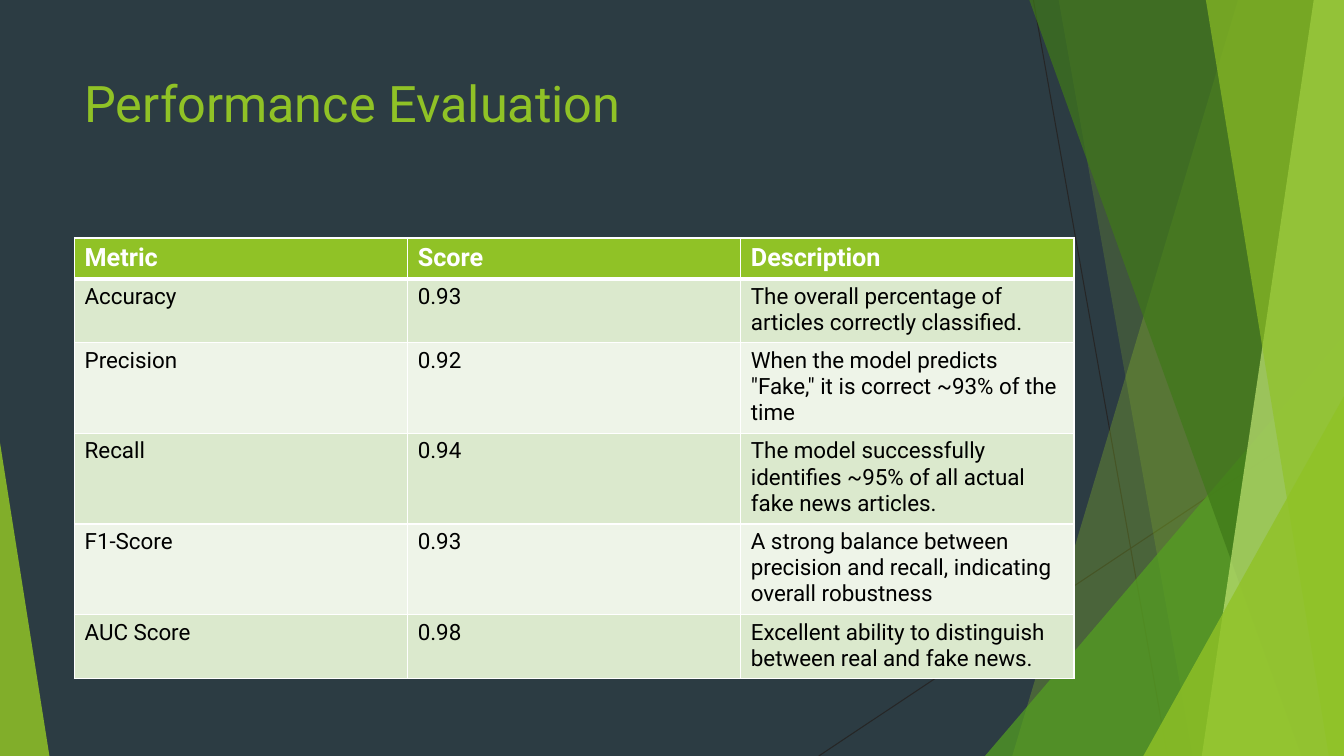
"""Build the Performance Evaluation slide with its metrics table."""
import pptx
import pptx.dml.color
import pptx.enum.shapes
import pptx.enum.text
import pptx.oxml
import pptx.oxml.ns
import pptx.util

RGB = pptx.dml.color.RGBColor
SLATE = RGB(0x2C, 0x3C, 0x43)
CHARCOAL = RGB(0x26, 0x26, 0x26)
LIME = RGB(0x90, 0xC2, 0x26)
GRASS = RGB(0x54, 0xA0, 0x21)
FOREST = RGB(0x3F, 0x78, 0x19)
PALE_LIME = RGB(0xC0, 0xE4, 0x74)
BAND_DARK = RGB(0xDB, 0xE9, 0xCD)
BAND_LIGHT = RGB(0xEE, 0xF4, 0xE8)
WHITE = RGB(0xFF, 0xFF, 0xFF)
BLACK = RGB(0, 0, 0)
FONT = "Roboto"

TITLE = "Performance Evaluation"
METRICS = [
    ("Metric", "Score", "Description"),
    ("Accuracy", "0.93", "The overall percentage of articles correctly classified."),
    ("Precision", "0.92", 'When the model predicts "Fake," it is correct ~93% of the time'),
    ("Recall", "0.94", "The model successfully identifies ~95% of all actual fake news articles."),
    ("F1-Score", "0.93", "A strong balance between precision and recall, indicating overall robustness"),
    ("AUC Score", "0.98", "Excellent ability to distinguish between real and fake news."),
]
TEXT_LINES = [1, 2, 3, 3, 3, 2]

# Shares below are percentages of the slide's width and height.
RAYS = [(76.89, 0, 86.87, 100), (100, 53.73, 60.92, 100)]
FACETS = [
    {"top": 92.12, "bottom": 75.32, "color": LIME, "alpha": 30},
    {"top": 78.77, "bottom": 88.75, "color": LIME, "alpha": 20},
    {"left": 73.29, "right": 100, "peak": 44.4, "lean": 1, "color": GRASS, "alpha": 72},
    {"top": 76.59, "bottom": 96.85, "color": FOREST, "alpha": 70},
    {"top": 97.75, "bottom": 89.42, "color": PALE_LIME, "alpha": 70},
    {"top": 89.72, "bottom": 98.87, "color": LIME, "alpha": 65},
    {"left": 85.07, "right": 100, "peak": 52.4, "lean": 1, "color": LIME, "alpha": 80},
    {"left": 0, "right": 3.68, "peak": 58.53, "lean": 0, "color": LIME, "alpha": 85},
]
TITLE_BOX = (5.55, 8.93, 70.52, 19.2)
TABLE_LEFT, TABLE_TOP, TABLE_WIDTH = 5.55, 31.47, 74.36
HEADER_HEIGHT, LINE_HEIGHT, CELL_PADDING = 5.4, 3.5, 1.2

deck = pptx.Presentation()
deck.slide_width, deck.slide_height = pptx.util.Inches(13.33), pptx.util.Inches(7.5)
slide = deck.slides.add_slide(deck.slide_layouts[6])
slide.background.fill.solid()
slide.background.fill.fore_color.rgb = SLATE


def across(share):
    return round(deck.slide_width * share / 100)


def down(share):
    return round(deck.slide_height * share / 100)


def write(frame, text, size, color, bold=False):
    frame.word_wrap = True
    run = frame.paragraphs[0].add_run()
    run.text = text
    run.font.name, run.font.size, run.font.bold = FONT, pptx.util.Pt(size), bold
    run.font.color.rgb = color


def draw_ray(x1, y1, x2, y2):
    ray = slide.shapes.add_connector(
        pptx.enum.shapes.MSO_CONNECTOR.STRAIGHT, across(x1), down(y1), across(x2), down(y2))
    ray.line.color.rgb = CHARCOAL
    ray.line.width = pptx.util.Pt(0.75)
    pptx.oxml.ns.qn("a:effectLst")
    ray._element.spPr.append(pptx.oxml.parse_xml(
        f"<a:effectLst {pptx.oxml.ns.nsdecls('a')}/>"))


def draw_facet(facet):
    if "peak" in facet:
        shape = slide.shapes.add_shape(
            pptx.enum.shapes.MSO_SHAPE.ISOSCELES_TRIANGLE,
            across(facet["left"]), down(facet["peak"]),
            across(facet["right"] - facet["left"]), down(100 - facet["peak"]))
        shape.adjustments[0] = facet["lean"]
    else:
        outline = slide.shapes.build_freeform(across(facet["top"]), 0)
        outline.add_line_segments(
            [(across(100), 0), (across(100), down(100)), (across(facet["bottom"]), down(100))])
        shape = outline.convert_to_shape()
    shape.shadow.inherit = False
    shape.line.fill.background()
    shape.fill.solid()
    shape.fill.fore_color.rgb = facet["color"]
    tint = shape._element.spPr.find(".//" + pptx.oxml.ns.qn("a:srgbClr"))
    tint.append(pptx.oxml.parse_xml(
        f"<a:alpha {pptx.oxml.ns.nsdecls('a')} val=\"{facet['alpha'] * 1000}\"/>"))


def add_borders(cell, **widths):
    for side in "LRTB":
        cell._tc.get_or_add_tcPr().append(pptx.oxml.parse_xml(
            f"<a:ln{side} {pptx.oxml.ns.nsdecls('a')} w=\"{pptx.util.Pt(widths.get(side, 1))}\">"
            f"<a:solidFill><a:srgbClr val=\"{WHITE}\"/></a:solidFill></a:ln{side}>"))


def fill_table():
    heights = [HEADER_HEIGHT] + [n * LINE_HEIGHT + CELL_PADDING for n in TEXT_LINES[1:]]
    table = slide.shapes.add_table(
        len(METRICS), len(METRICS[0]), across(TABLE_LEFT), down(TABLE_TOP),
        across(TABLE_WIDTH), down(sum(heights))).table
    for r, metric in enumerate(METRICS):
        table.rows[r].height = down(heights[r])
        for c, text in enumerate(metric):
            cell = table.cell(r, c)
            add_borders(cell, T=3 if r == 1 else 1, B=3 if r == 0 else 1)
            cell.fill.solid()
            cell.fill.fore_color.rgb = LIME if r == 0 else (BAND_LIGHT, BAND_DARK)[r % 2]
            if r == 0:
                write(cell.text_frame, text, size=18, color=WHITE, bold=True)
            else:
                write(cell.text_frame, text, size=16, color=BLACK)


for ray in RAYS:
    draw_ray(*ray)
for facet in FACETS:
    draw_facet(facet)
left, top, width, height = TITLE_BOX
heading = slide.shapes.add_textbox(across(left), down(top), across(width), down(height))
heading.text_frame.vertical_anchor = pptx.enum.text.MSO_ANCHOR.TOP
write(heading.text_frame, TITLE, size=36, color=LIME)
fill_table()
deck.save("out.pptx")
